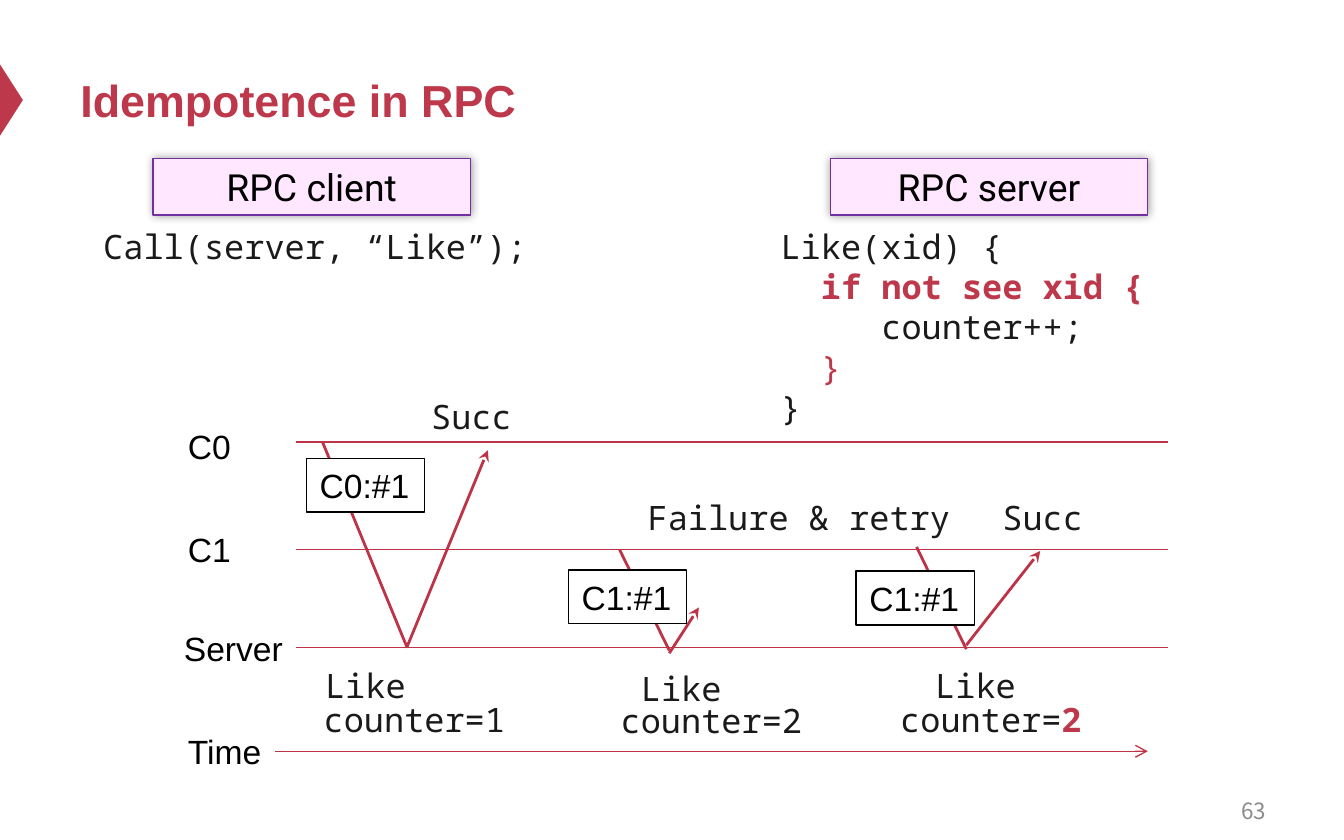
from lxml import etree
from pptx import Presentation
from pptx.dml.color import RGBColor
from pptx.enum.shapes import MSO_CONNECTOR, MSO_SHAPE
from pptx.enum.text import MSO_ANCHOR, MSO_AUTO_SIZE, PP_ALIGN
from pptx.oxml import parse_xml
from pptx.oxml.ns import nsdecls, qn
from pptx.util import Inches, Pt

RED, LINE_RED, INK, BLACK = "BE384B", "BD3347", "1A1A1A", "000000"
SANS, MONO = "Arial", "Noto Sans Mono"
LINE_HEIGHT = 0.4


def color(hex_value):
    return RGBColor.from_string(hex_value)


def add_text(slide, box, paragraphs, shape=None, font=SANS, size=18, ink=BLACK,
             bold=False, align=PP_ALIGN.LEFT, anchor=MSO_ANCHOR.TOP,
             wrap=False, grow=True, insets=(0.1, 0.05)):
    """Write paragraphs, each a string or a list of (text, ink, bold) runs."""
    holder = shape or slide.shapes.add_textbox(*map(Inches, box))
    frame = holder.text_frame
    frame.word_wrap = wrap
    frame.auto_size = MSO_AUTO_SIZE.SHAPE_TO_FIT_TEXT if grow else MSO_AUTO_SIZE.NONE
    frame.vertical_anchor = anchor
    frame.margin_left = frame.margin_right = Inches(insets[0])
    frame.margin_top = frame.margin_bottom = Inches(insets[1])
    for index, content in enumerate(paragraphs):
        paragraph = frame.add_paragraph() if index else frame.paragraphs[0]
        paragraph.alignment = align
        runs = [(content, ink, bold)] if isinstance(content, str) else content
        for text, run_ink, run_bold in runs:
            run = paragraph.add_run()
            run.text = text
            run.font.name, run.font.size = font, Pt(size)
            run.font.bold = run_bold
            run.font.color.rgb = color(run_ink)


def add_box(slide, box, fill, outline=None, kind=MSO_SHAPE.RECTANGLE):
    shape = slide.shapes.add_shape(kind, *map(Inches, box))
    shape.shadow.inherit = False
    shape.fill.solid()
    shape.fill.fore_color.rgb = color(fill)
    if outline:
        shape.line.color.rgb = color(outline)
        shape.line.width = Pt(0.75)
    else:
        shape.line.fill.background()
    return shape


def add_line(slide, start, end, width=0.75, head=None):
    line = slide.shapes.add_connector(MSO_CONNECTOR.STRAIGHT, *map(Inches, start + end))
    line.line.color.rgb = color(LINE_RED)
    line.line.width = Pt(width)
    if head:
        etree.SubElement(line.line._get_or_add_ln(), qn("a:tailEnd"), type=head)
    etree.SubElement(line._element.spPr, qn("a:effectLst"))


def add_header(slide, box):
    # Marker at the left edge, then the title
    marker = add_box(slide, (-0.18, 0.66, 0.53, 0.17), RED,
                     kind=MSO_SHAPE.ISOSCELES_TRIANGLE)
    marker.rotation = 90
    add_text(slide, box, ["Idempotence in RPC"], size=24, ink=RED, bold=True,
             anchor=MSO_ANCHOR.MIDDLE, wrap=True, grow=False)


def add_code_panel(slide, box, heading, code):
    left, top, width, height = box
    # Heading plate with a soft glow-like shadow
    plate_box = (left + 0.47, top, 2.36, 0.42)
    plate = add_box(slide, plate_box, "FFE7FF", "7030A0")
    effects = plate._element.spPr.find(qn("a:effectLst"))
    effects.append(parse_xml(
        f'<a:outerShdw {nsdecls("a")} blurRad="{Pt(5)}" dist="0" dir="0" algn="ctr" '
        'rotWithShape="0"><a:srgbClr val="000000"><a:alpha val="40000"/>'
        '</a:srgbClr></a:outerShdw>'))
    add_text(slide, plate_box, [heading], shape=plate, font="Roboto", size=20,
             align=PP_ALIGN.CENTER, wrap=True, insets=(0.12, 0.04))
    # Code below the plate
    add_text(slide, (left, top + 0.45, width, height - 0.45), code,
             font=MONO, ink=INK, wrap=True)


def add_lanes(slide, left, width):
    # Lane name, name offset, name top, name width, line top
    lanes = [("C0", 0.03, 3.12, 0.52, 3.29), ("C1", 0.03, 3.89, 0.52, 4.09),
             ("Server", 0, 4.62, 0.95, 4.82)]
    for name, offset, top, name_width, level in lanes:
        add_text(slide, (left + offset, top, name_width, LINE_HEIGHT), [name])
        add_line(slide, (left + 0.93, level), (left + width, level))
    # Time axis
    add_text(slide, (left + 0.03, 5.39, 0.75, LINE_HEIGHT), ["Time"])
    add_line(slide, (left + 0.78, 5.59), (left + width - 0.15, 5.59), head="arrow")


def add_call(slide, request, reply, tag, tag_at, like_at, counter_at, counter):
    # Request down to the server and reply back up
    add_line(slide, *request, width=1.5)
    add_line(slide, *reply, width=1.5, head="stealth")
    # What the server does
    add_text(slide, (*like_at, 0.81, LINE_HEIGHT), ["Like"], font=MONO, ink=INK)
    add_text(slide, (*counter_at, 1.57, LINE_HEIGHT), [counter], font=MONO, ink=INK)
    # Request tag
    tag_box = (*tag_at, 0.88, LINE_HEIGHT)
    add_text(slide, tag_box, [tag], shape=add_box(slide, tag_box, "FFFFFF", BLACK))


def add_timeline(slide, left, width):
    add_lanes(slide, left, width)
    add_call(slide, ((2.4, 3.29), (3.03, 4.82)), ((3.03, 4.81), (3.63, 3.35)),
             "C0:#1", (2.28, 3.41), (2.32, 4.9), (2.31, 5.15), "counter=1")
    add_call(slide, ((4.61, 4.09), (4.98, 4.84)), ((4.98, 4.86), (5.2, 4.52)),
             "C1:#1", (4.23, 4.24), (4.67, 4.92), (4.52, 5.16), "counter=2")
    add_call(slide, ((6.82, 4.07), (7.19, 4.83)), ((7.19, 4.8), (7.74, 4.1)),
             "C1:#1", (6.37, 4.25), (6.86, 4.9), (6.6, 5.15),
             [("counter=", INK, False), ("2", RED, True)])
    # Outcomes seen by the clients
    for outcome, x, y, outcome_width in [("Succ", 3.11, 2.9, 0.81),
                                         ("Failure & retry", 4.72, 3.65, 2.49),
                                         ("Succ", 7.36, 3.65, 0.81)]:
        add_text(slide, (x, y, outcome_width, LINE_HEIGHT), [outcome],
                 font=MONO, ink=INK)


def main():
    deck = Presentation()
    deck.slide_width, deck.slide_height = Inches(10), Inches(6.25)
    slide = deck.slides.add_slide(deck.slide_layouts[6])

    add_header(slide, (0.5, 0.25, 9, 0.98))
    add_code_panel(slide, (0.67, 1.18, 4.2, 0.85), "RPC client",
                   ["Call(server, “Like”);"])
    add_code_panel(slide, (5.71, 1.18, 4.2, 2.07), "RPC server",
                   ["Like(xid) {",
                    [("  if not see xid {", RED, True)],
                    "     counter++;",
                    [("  }", RED, False)],
                    "}"])
    add_timeline(slide, 1.27, 7.42)
    # Page number
    add_text(slide, (7.19, 5.87, 2.33, 0.33), ["63"], font="Noto Sans CJK SC",
             size=12, ink="8C8C8C", align=PP_ALIGN.RIGHT,
             anchor=MSO_ANCHOR.MIDDLE, wrap=True, grow=False)

    deck.save("out.pptx")


if __name__ == "__main__":
    main()
